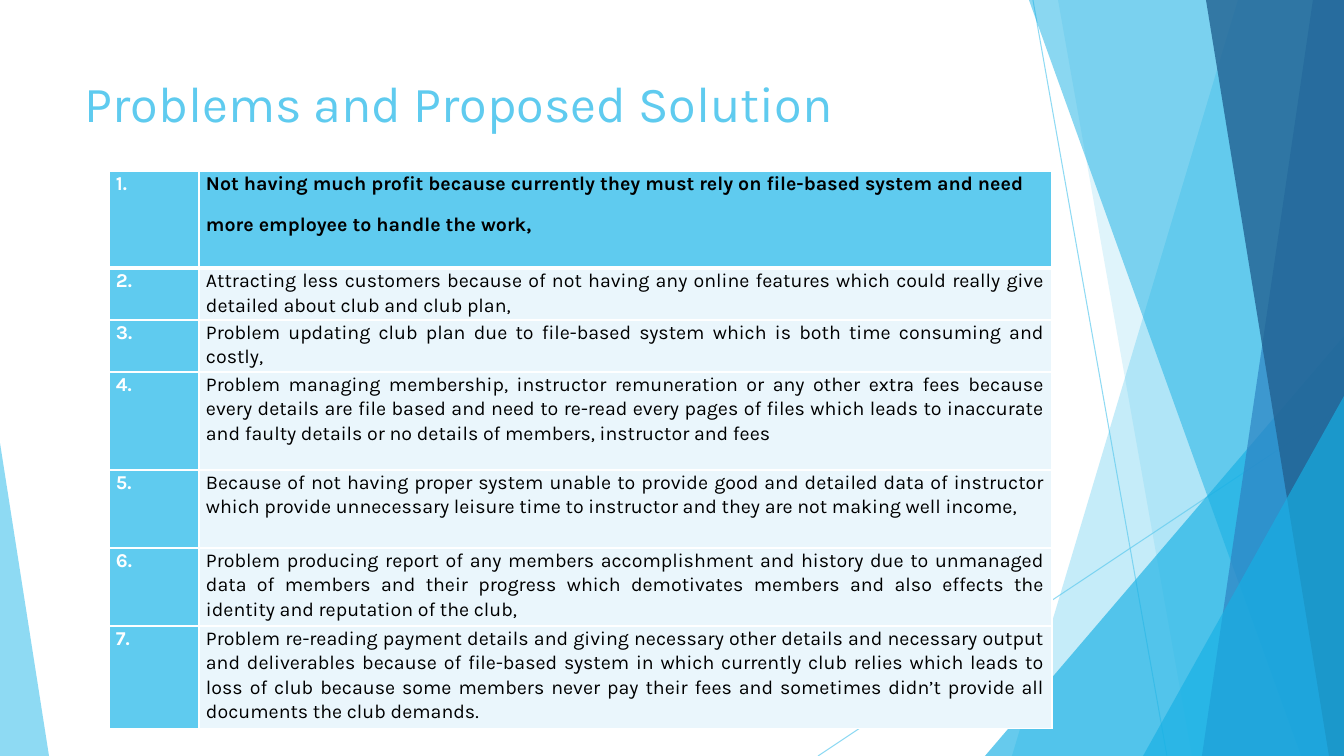
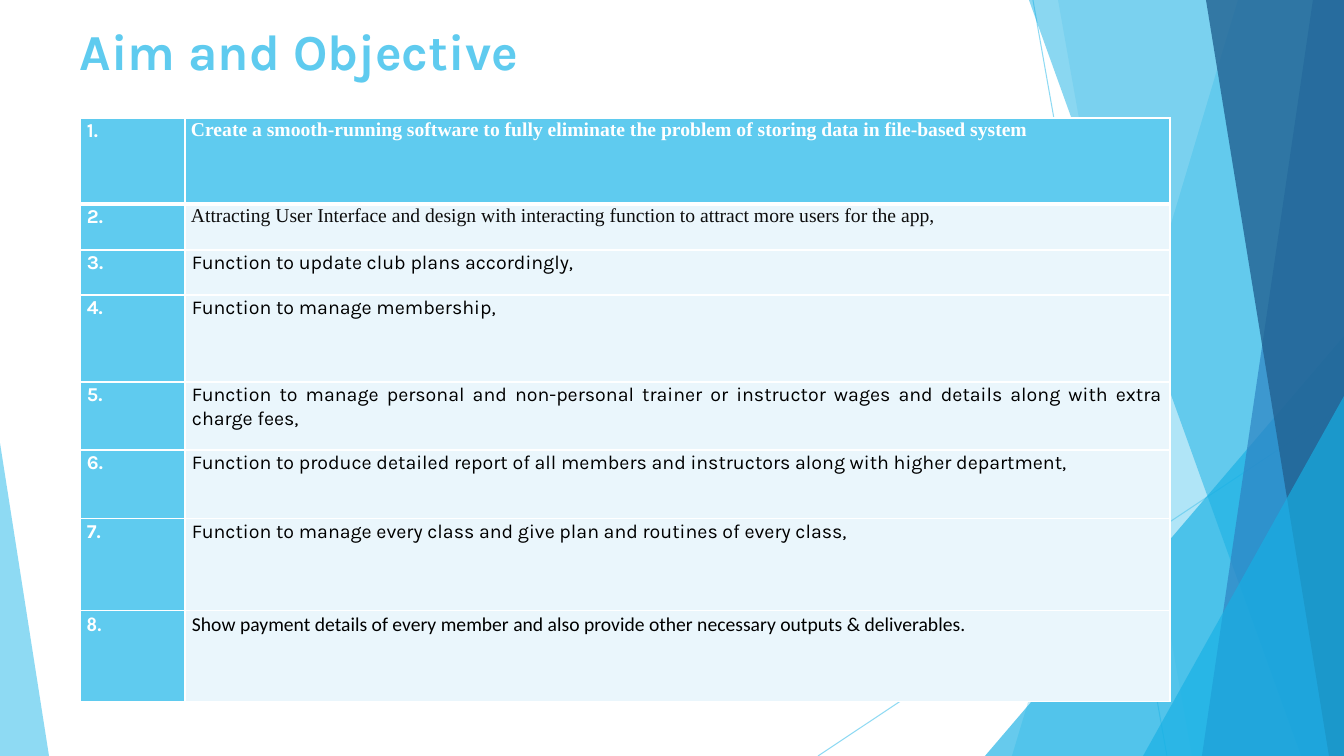
from lxml import etree
from pptx import Presentation
from pptx.dml.color import RGBColor
from pptx.enum.shapes import MSO_CONNECTOR, MSO_SHAPE
from pptx.enum.text import MSO_ANCHOR, PP_ALIGN
from pptx.oxml.ns import qn
from pptx.util import Pt

STRAIGHT = MSO_CONNECTOR.STRAIGHT
TRIANGLE = MSO_SHAPE.ISOSCELES_TRIANGLE
TOP = MSO_ANCHOR.TOP
LEFT, JUSTIFY = PP_ALIGN.LEFT, PP_ALIGN.JUSTIFY

SCALE = 914400 / 100.8
SLIDE_W, SLIDE_H = 1344, 756
FONT = "Karla"
SERIF = "Times New Roman"
SANS = "Calibri"
COLORS = {
    "sky": "5FCBEF",
    "cyan": "17B0E4",
    "blue": "2E83C3",
    "navy": "226292",
    "pale": "EAF6FC",
    "white": "FFFFFF",
    "black": "000000",
    "ink": "0D0D0D",
}

FACET_BOX = (985, 0, 359, SLIDE_H)
ACCENT_BOX = (0, 443, 49, 313)
RAYS = [((48, 0), (182, 756)), ((359, 406), (-167, 756))]
FACETS = [
    ("band", (253, 27), "sky", 36),
    ("band", (73, 207), "sky", 20),
    ("wedge", (0, 336), "cyan", 66),
    ("band", (44, 316), "cyan", 50),
    ("band", (328, 217), "blue", 70),
    ("band", (221, 344), "navy", 80),
    ("wedge", (158, 396), "cyan", 66),
]

PROBLEMS = [
    ("Not having much profit because currently they must rely on file-based system and need\n"
     "more employee to handle the work,", {"bold": True}),
    ("Attracting less customers because of not having any online features which could really give "
     "detailed about club and club plan,", {}),
    ("Problem updating club plan due to file-based system which is both time consuming and costly,", {}),
    ("Problem managing membership, instructor remuneration or any other extra fees because every "
     "details are file based and need to re-read every pages of files which leads to inaccurate and "
     "faulty details or no details of members, instructor and fees", {}),
    ("Because of not having proper system unable to provide good and detailed data of instructor "
     "which provide unnecessary leisure time to instructor and they are not making well income,", {}),
    ("Problem producing report of any members accomplishment and history due to unmanaged data of "
     "members and their progress which demotivates members and also effects the identity and "
     "reputation of the club,", {}),
    ("Problem re-reading payment details and giving necessary other details and necessary output and "
     "deliverables because of file-based system in which currently club relies which leads to loss of "
     "club because some members never pay their fees and sometimes didn’t provide all documents the "
     "club demands.", {}),
]
OBJECTIVES = [
    ("Create a smooth-running software to fully eliminate the problem of storing data in file-based system",
     {"font": SERIF, "color": "white", "bold": True}),
    ("Attracting User Interface and design with interacting function to attract more users for the app,",
     {"font": SERIF, "color": "ink"}),
    ("Function to update club plans accordingly,", {}),
    ("Function to manage membership,", {}),
    ("Function to manage personal and non-personal trainer or instructor wages and details along with "
     "extra charge fees,", {}),
    ("Function to produce detailed report of all members and instructors along with higher department,", {}),
    ("Function to manage every class and give plan and routines of every class,", {}),
    ("Show payment details of every member and also provide other necessary outputs & deliverables.",
     {"font": SANS}),
]


def px(length):
    return round(length * SCALE)


def rgb(name):
    return RGBColor.from_string(COLORS[name])


def set_alpha(fill_parent, percent):
    color = fill_parent.find(".//" + qn("a:srgbClr"))
    etree.SubElement(color, qn("a:alpha"), val=str(percent * 1000))


def write(frame, text, size=14, font=FONT, color="black", bold=False,
          align=JUSTIFY, spacing=1.07, after=12):
    frame.word_wrap = True
    for index, line in enumerate(text.split("\n")):
        paragraph = frame.add_paragraph() if index else frame.paragraphs[0]
        paragraph.alignment = align
        paragraph.line_spacing = spacing
        paragraph.space_after = Pt(after)
        run = paragraph.add_run()
        run.text = line
        run.font.size = Pt(size)
        run.font.name = font
        run.font.bold = bold
        run.font.color.rgb = rgb(color)


def paint(facet, color, alpha):
    facet.shadow.inherit = False
    facet.fill.solid()
    facet.fill.fore_color.rgb = rgb(color)
    set_alpha(facet.fill._xPr, alpha)
    facet.line.fill.background()


def add_ray(slide, start, end):
    ray = slide.shapes.add_connector(STRAIGHT, *map(px, start + end))
    ray.line.color.rgb = rgb("sky")
    ray.line.width = Pt(0.75)
    properties = ray._element.spPr
    set_alpha(properties, 70)
    etree.SubElement(properties, qn("a:effectLst"))


def add_wedge(slide, box, peak, color, alpha):
    wedge = slide.shapes.add_shape(TRIANGLE, *map(px, box))
    wedge.adjustments[0] = peak
    paint(wedge, color, alpha)


def add_band(slide, box, upper, lower, color, alpha):
    left, top, width, height = box
    right, bottom = left + width, top + height
    outline = slide.shapes.build_freeform(left + upper, top, scale=SCALE)
    outline.add_line_segments([(right, top), (right, bottom), (left + lower, bottom)], close=True)
    paint(outline.convert_to_shape(), color, alpha)


def add_facets(slide, box):
    left, top, width, height = box
    for (x1, y1), (x2, y2) in RAYS:
        add_ray(slide, (left + x1, top + y1), (left + x2, top + y2))
    for kind, (first, second), color, alpha in FACETS:
        if kind == "band":
            add_band(slide, box, first, second, color, alpha)
        else:
            area = (left + first, top + second, width - first, height - second)
            add_wedge(slide, area, 1, color, alpha)


def add_title(slide, box, text, bold):
    title = slide.shapes.add_textbox(*map(px, box))
    title.text_frame.vertical_anchor = TOP
    write(title.text_frame, text, size=36, color="sky", bold=bold, align=LEFT, spacing=1, after=0)


def set_borders(cell, row):
    properties = cell._tc.get_or_add_tcPr()
    widths = {"L": 1, "R": 1, "T": 3 if row == 1 else 1, "B": 3 if row == 0 else 1}
    for side, width in widths.items():
        border = etree.SubElement(properties, qn("a:ln" + side), w=str(Pt(width)))
        fill = etree.SubElement(border, qn("a:solidFill"))
        etree.SubElement(fill, qn("a:srgbClr"), val=COLORS["white"])


def fill_cell(cell, row, background, text, **style):
    inset = 6 if style.get("font") == SERIF else 7
    cell.margin_left = cell.margin_right = px(inset)
    cell.margin_top = cell.margin_bottom = 0
    set_borders(cell, row)
    cell.fill.solid()
    cell.fill.fore_color.rgb = rgb(background)
    write(cell.text_frame, text, **style)


def add_numbered_table(slide, box, number_width, heights, items):
    table = slide.shapes.add_table(len(items), 2, *map(px, box)).table
    table.columns[0].width = px(number_width)
    table.columns[1].width = px(box[2] - number_width)
    for row, (height, (text, style)) in enumerate(zip(heights, items)):
        table.rows[row].height = px(height)
        number_font = SANS if style.get("font") == SANS else FONT
        fill_cell(table.cell(row, 0), row, "sky", f"{row + 1}.",
                  font=number_font, color="white", bold=True)
        fill_cell(table.cell(row, 1), row, "pale" if row else "sky", text, **style)


def add_list_slide(deck, title, title_at, bold, table_at, widths, heights, items):
    slide = deck.slides.add_slide(deck.slide_layouts[6])
    add_facets(slide, FACET_BOX)
    add_wedge(slide, ACCENT_BOX, 0, "sky", 70)
    add_title(slide, (*title_at, 948, 145), title, bold)
    table_box = (*table_at, sum(widths), sum(heights))
    add_numbered_table(slide, table_box, widths[0], heights, items)


def main():
    deck = Presentation()
    deck.slide_width, deck.slide_height = px(SLIDE_W), px(SLIDE_H)
    add_list_slide(deck, "Problems and Proposed Solution", (75, 67), False, (109, 171),
                   (90, 853), (97, 52, 52, 98, 78, 78, 103), PROBLEMS)
    add_list_slide(deck, "Aim and Objective", (70, 15), True, (80, 118),
                   (105, 985), (86, 46, 45, 87, 68, 69, 92, 91), OBJECTIVES)
    deck.save("out.pptx")


if __name__ == "__main__":
    main()
